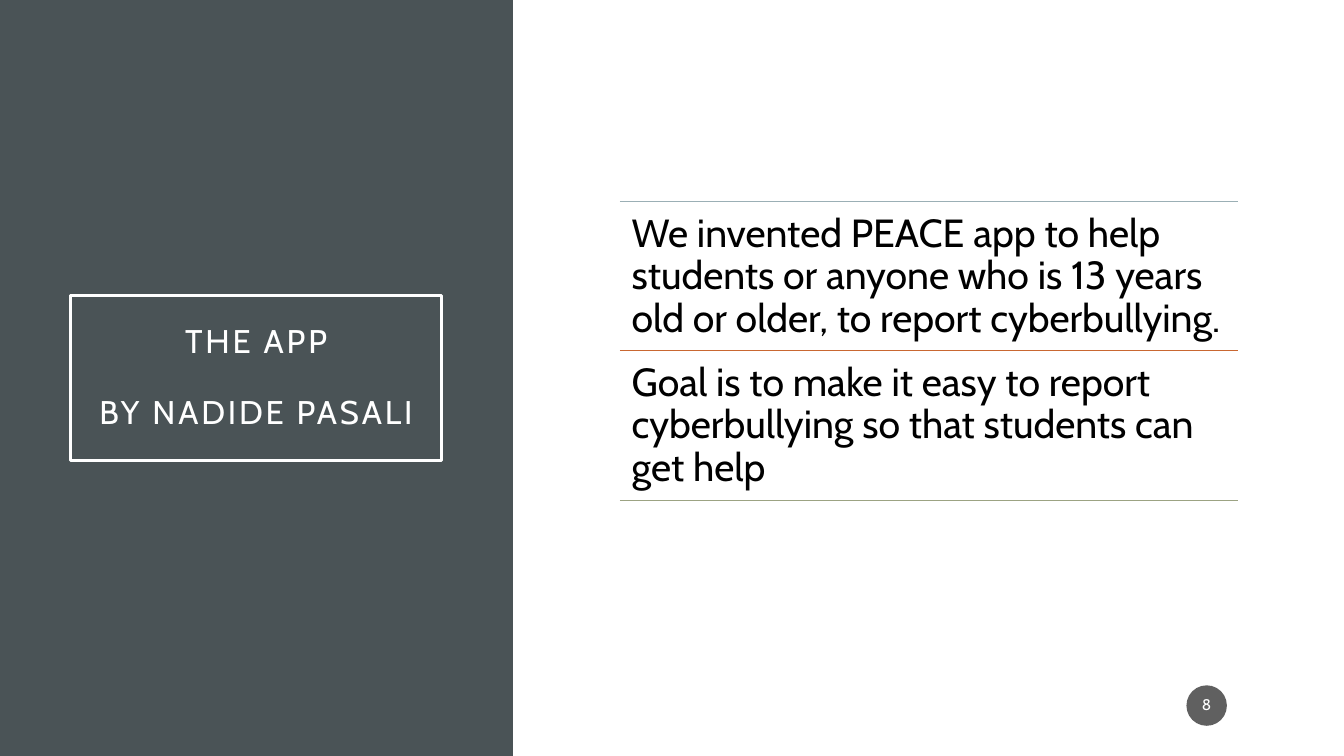
from lxml.etree import SubElement
from pptx import Presentation
from pptx.dml.color import RGBColor
from pptx.enum.shapes import MSO_CONNECTOR, MSO_SHAPE
from pptx.enum.text import MSO_ANCHOR, MSO_AUTO_SIZE, PP_ALIGN
from pptx.oxml.ns import qn
from pptx.util import Cm, Pt

TITLE_LINES = ["THE APP", "BY NADIDE PASALI"]
STATEMENTS = [
    "We invented PEACE app to help students or anyone who is 13 years old or older, "
    "to report cyberbullying.",
    "Goal is to make it easy to report cyberbullying so that students can get help",
]
PAGE_NUMBER = "8"

FONT = "Cabin"
WHITE = RGBColor(0xFF, 0xFF, 0xFF)
BLACK = RGBColor(0x00, 0x00, 0x00)
SLATE = RGBColor(0x4A, 0x53, 0x56)
CHARCOAL = RGBColor(0x1D, 0x1D, 0x1D)
RULE_COLORS = [
    RGBColor(0x9B, 0xAF, 0xB5),
    RGBColor(0xC9, 0x67, 0x31),
    RGBColor(0x9C, 0xA3, 0x83),
]

PAGE_WIDTH, PAGE_HEIGHT = Cm(33.87), Cm(19.05)
LIST_LEFT, LIST_TOP, LIST_WIDTH, ROW_HEIGHT = Cm(15.62), Cm(5.08), Cm(15.57), Cm(3.76)


def set_frame(frame, side, vertical, anchor):
    """Set margins, anchor and wrapping of a text frame."""
    frame.margin_left = frame.margin_right = side
    frame.margin_top = frame.margin_bottom = vertical
    frame.vertical_anchor = anchor
    frame.word_wrap = True
    frame.auto_size = MSO_AUTO_SIZE.NONE


def style_paragraph(para, size, color, align):
    para.alignment = align
    para.line_spacing = 0.9
    para.font.name = FONT
    para.font.size = Pt(size)
    para.font.color.rgb = color


def add_filled(page, kind, left, top, width, height, color):
    shape = page.shapes.add_shape(kind, left, top, width, height)
    shape.shadow.inherit = False
    shape.fill.solid()
    shape.fill.fore_color.rgb = color
    shape.line.fill.background()
    return shape


def add_title(page):
    title = page.shapes.title
    title.left, title.top, title.width, title.height = Cm(1.78), Cm(7.44), Cm(9.35), Cm(4.17)
    title.line.color.rgb = WHITE
    title.line.width = Pt(2.5)
    set_frame(title.text_frame, Cm(0.5), Cm(0.5), MSO_ANCHOR.MIDDLE)
    title.text_frame.text = "\n".join(TITLE_LINES)
    for index, para in enumerate(title.text_frame.paragraphs):
        style_paragraph(para, 23.4, WHITE, PP_ALIGN.CENTER)
        para.space_before = Pt(25.5 if index else 0)
        for span in para.runs:
            span._r.get_or_add_rPr().set("spc", "200")
    return title


def add_page_number(page):
    badge = add_filled(page, MSO_SHAPE.OVAL, Cm(29.9), Cm(17.27), Cm(1.02), Cm(1.02), CHARCOAL)
    color = badge.fill._xPr.find(qn("a:solidFill"))[0]
    SubElement(color, qn("a:alpha")).set("val", "70000")
    set_frame(badge.text_frame, Cm(0.05), Cm(0.13), MSO_ANCHOR.MIDDLE)
    badge.text_frame.text = PAGE_NUMBER
    style_paragraph(badge.text_frame.paragraphs[0], 11, WHITE, PP_ALIGN.CENTER)


def add_rule(page, top, color):
    rule = page.shapes.add_connector(
        MSO_CONNECTOR.STRAIGHT, LIST_LEFT, top, LIST_LEFT + LIST_WIDTH, top)
    rule.line.color.rgb = color
    rule.line.width = Pt(0.5)
    SubElement(rule.element.spPr, qn("a:effectLst"))


def add_statement(page, top, text):
    box = page.shapes.add_textbox(LIST_LEFT, top, LIST_WIDTH, ROW_HEIGHT)
    set_frame(box.text_frame, Cm(0.3), Cm(0.3), MSO_ANCHOR.TOP)
    box.text_frame.text = text
    style_paragraph(box.text_frame.paragraphs[0], 28, BLACK, PP_ALIGN.LEFT)


def main():
    deck = Presentation()
    deck.slide_width, deck.slide_height = PAGE_WIDTH, PAGE_HEIGHT
    page = deck.slides.add_slide(deck.slide_layouts[5])

    title = add_title(page)
    panel = add_filled(page, MSO_SHAPE.RECTANGLE, 0, 0, Cm(12.93), PAGE_HEIGHT, SLATE)
    title.element.addprevious(panel.element)  # keep the panel behind the title
    add_page_number(page)

    for row, color in enumerate(RULE_COLORS):
        add_rule(page, LIST_TOP + row * ROW_HEIGHT, color)
    for row, text in enumerate(STATEMENTS):
        add_statement(page, LIST_TOP + row * ROW_HEIGHT, text)

    deck.save("out.pptx")


if __name__ == "__main__":
    main()
